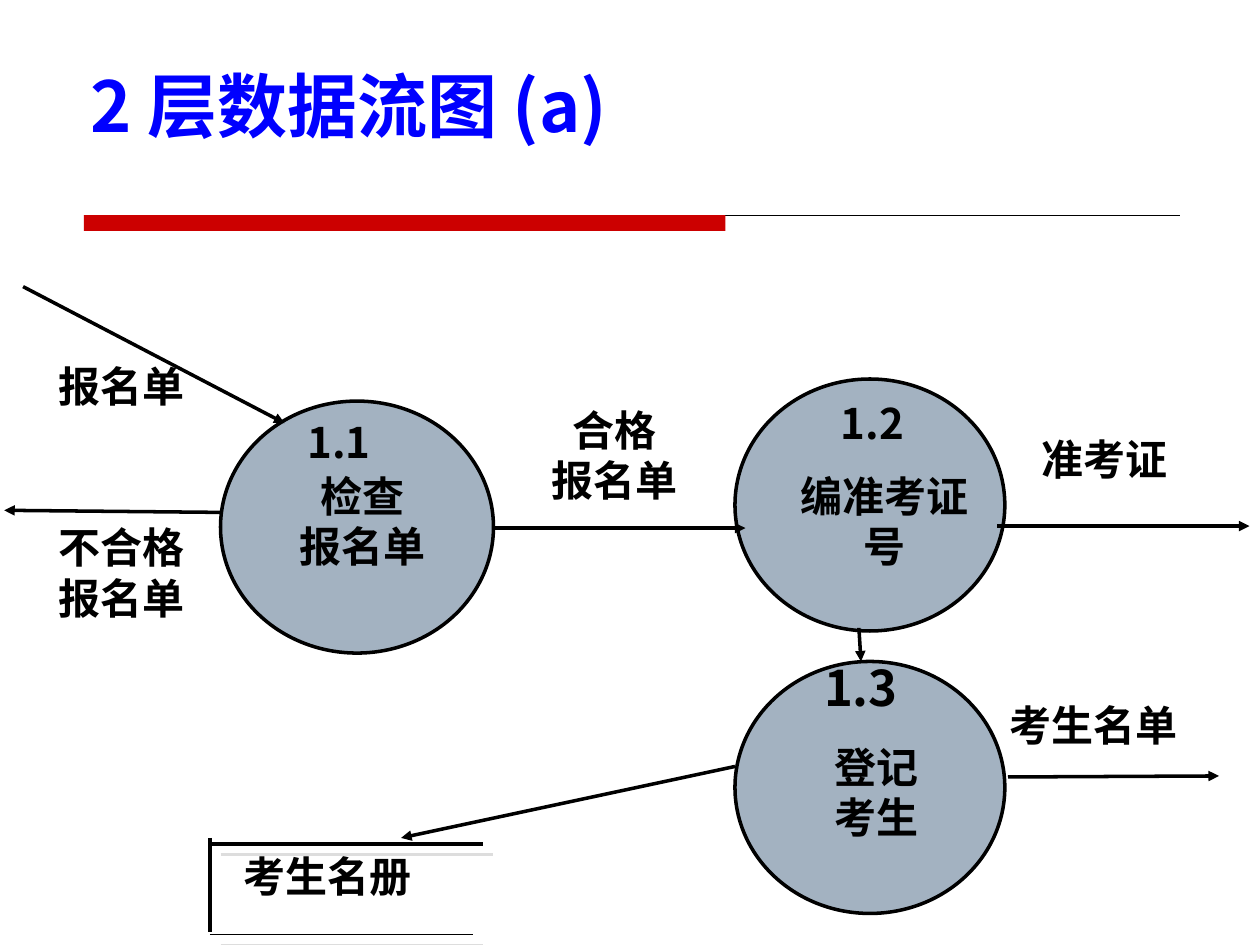
from dataclasses import dataclass

from lxml import etree
from pptx import Presentation
from pptx.dml.color import RGBColor
from pptx.enum.shapes import MSO_CONNECTOR, MSO_SHAPE
from pptx.enum.text import MSO_ANCHOR, MSO_AUTO_SIZE, PP_ALIGN
from pptx.oxml.ns import qn
from pptx.util import Inches, Pt

STRAIGHT = MSO_CONNECTOR.STRAIGHT
OVAL = MSO_SHAPE.OVAL
RECTANGLE = MSO_SHAPE.RECTANGLE
TOP = MSO_ANCHOR.TOP
NO_AUTOFIT = MSO_AUTO_SIZE.NONE
LEFT = PP_ALIGN.LEFT
CENTER = PP_ALIGN.CENTER

SLIDE_WIDTH = Inches(10)
SLIDE_HEIGHT = Inches(7.5)
COLUMNS = 120
ROWS = 90
TITLE_ONLY = 5


@dataclass(frozen=True)
class Theme:
    font: str = "Noto Sans CJK SC"
    title_color: str = "0000FF"
    accent: str = "CC0000"
    process: str = "A3B2C1"
    ink: str = "000000"
    shadow: str = "DDDDDD"
    title_size: float = 40
    number_size: float = 28
    label_size: float = 24
    line_width: float = 2
    thin_line: float = 1
    rule_line: float = 0.75


@dataclass(frozen=True)
class Process:
    column: float
    row: float
    width: float = 25.7
    height: float = 24


@dataclass(frozen=True)
class Label:
    text: str
    column: float
    row: float
    width: float
    align: PP_ALIGN = LEFT
    wrap: bool = True
    size: float = Theme.label_size


@dataclass(frozen=True)
class Line:
    start: tuple[float, float]
    end: tuple[float, float]
    arrow: bool = True
    width: float = Theme.line_width
    shadow: bool = False


THEME = Theme()

PROCESSES = [Process(21, 38.2, width=26), Process(70, 36.1), Process(70, 63)]

LINES = [
    Line((2.2, 27.3), (27.1, 40.3)),
    Line((21, 48.8), (0.4, 48.6)),
    Line((47, 50.3), (71, 50.3)),
    Line((95, 50.1), (119, 50.1)),
    Line((81.8, 59.8), (82, 63)),
    Line((96, 74), (116.1, 73.9)),
    Line((70, 73), (38.2, 79.8)),
    Line((20, 80.4), (46, 80.4), arrow=False, shadow=True),
    Line((20, 89), (45, 89), arrow=False, width=THEME.thin_line, shadow=True),
    Line((20, 79.8), (20, 88.8), arrow=False),
]

LABELS = [
    Label("报名单", 4.4, 33.7, 26),
    Label("不合格\n报名单", 4.4, 49.1, 25),
    Label("1.1", 28.1, 39.1, 8.5, wrap=False),
    Label("检查\n报名单", 22, 44.2, 25, CENTER),
    Label("合格\n报名单", 47, 37.9, 23, CENTER),
    Label("1.2", 78.9, 37.3, 8.5, wrap=False),
    Label("编准考证号", 73.7, 44.2, 21, CENTER),
    Label("准考证", 98, 40.7, 21),
    Label("1.3", 77.3, 62, 11.4, wrap=False, size=THEME.number_size),
    Label("登记\n考生", 73, 70, 21, CENTER),
    Label("考生名单", 95, 66, 26),
    Label("考生名册", 22, 80.4, 18.5, wrap=False),
]


def x(column: float) -> int:
    return round(SLIDE_WIDTH * column / COLUMNS)


def y(row: float) -> int:
    return round(SLIDE_HEIGHT * row / ROWS)


def color(value: str) -> RGBColor:
    return RGBColor.from_string(value)


def write_text(frame, text: str, *, size: float, ink: str, align: PP_ALIGN = LEFT,
               wrap: bool = True) -> None:
    frame.word_wrap = wrap
    frame.auto_size = NO_AUTOFIT
    frame.vertical_anchor = TOP
    frame.text = text
    for paragraph in frame.paragraphs:
        paragraph.alignment = align
        for run in paragraph.runs:
            run.font.name = THEME.font
            run.font.size = Pt(size)
            run.font.bold = True
            run.font.color.rgb = color(ink)
            east_asian = etree.SubElement(run.font._element, qn("a:ea"))
            east_asian.set("typeface", THEME.font)


def draw_title(slide) -> None:
    title = slide.shapes.title
    title.left, title.top, title.width, title.height = x(7.4), y(5.4), x(77), y(9.2)
    write_text(title.text_frame, "2 层数据流图 (a)", size=THEME.title_size,
               ink=THEME.title_color)


def draw_rule(slide) -> None:
    draw_line(slide, Line((8, 20.5), (112.4, 20.5), arrow=False, width=THEME.rule_line))
    bar = slide.shapes.add_shape(RECTANGLE, x(8), y(20.5), x(61.1), y(1.5))
    bar.shadow.inherit = False
    bar.fill.solid()
    bar.fill.fore_color.rgb = color(THEME.accent)
    bar.line.fill.background()


def draw_process(slide, process: Process) -> None:
    circle = slide.shapes.add_shape(OVAL, x(process.column), y(process.row),
                                    x(process.width), y(process.height))
    circle.shadow.inherit = False
    circle.fill.solid()
    circle.fill.fore_color.rgb = color(THEME.process)
    circle.line.color.rgb = color(THEME.ink)
    circle.line.width = Pt(THEME.line_width)


def draw_line(slide, line: Line) -> None:
    connector = slide.shapes.add_connector(STRAIGHT, x(line.start[0]), y(line.start[1]),
                                           x(line.end[0]), y(line.end[1]))
    connector.line.color.rgb = color(THEME.ink)
    connector.line.width = Pt(line.width)
    properties = connector._element.spPr
    if line.arrow:
        etree.SubElement(properties.find(qn("a:ln")), qn("a:tailEnd"), type="triangle")
    effects = etree.SubElement(properties, qn("a:effectLst"))
    if line.shadow:
        shadow = etree.SubElement(effects, qn("a:outerShdw"), dist=str(Pt(8.5)),
                                  dir="2700000", algn="ctr", rotWithShape="0")
        etree.SubElement(shadow, qn("a:srgbClr"), val=THEME.shadow)


def draw_label(slide, label: Label) -> None:
    height = 6 + 4.8 * label.text.count("\n")
    box = slide.shapes.add_textbox(x(label.column), y(label.row), x(label.width), y(height))
    write_text(box.text_frame, label.text, size=label.size, ink=THEME.ink,
               align=label.align, wrap=label.wrap)


def main() -> None:
    presentation = Presentation()
    presentation.slide_width = SLIDE_WIDTH
    presentation.slide_height = SLIDE_HEIGHT
    slide = presentation.slides.add_slide(presentation.slide_layouts[TITLE_ONLY])
    draw_rule(slide)
    draw_title(slide)
    for process in PROCESSES:
        draw_process(slide, process)
    for line in LINES:
        draw_line(slide, line)
    for label in LABELS:
        draw_label(slide, label)
    presentation.save("out.pptx")


if __name__ == "__main__":
    main()
